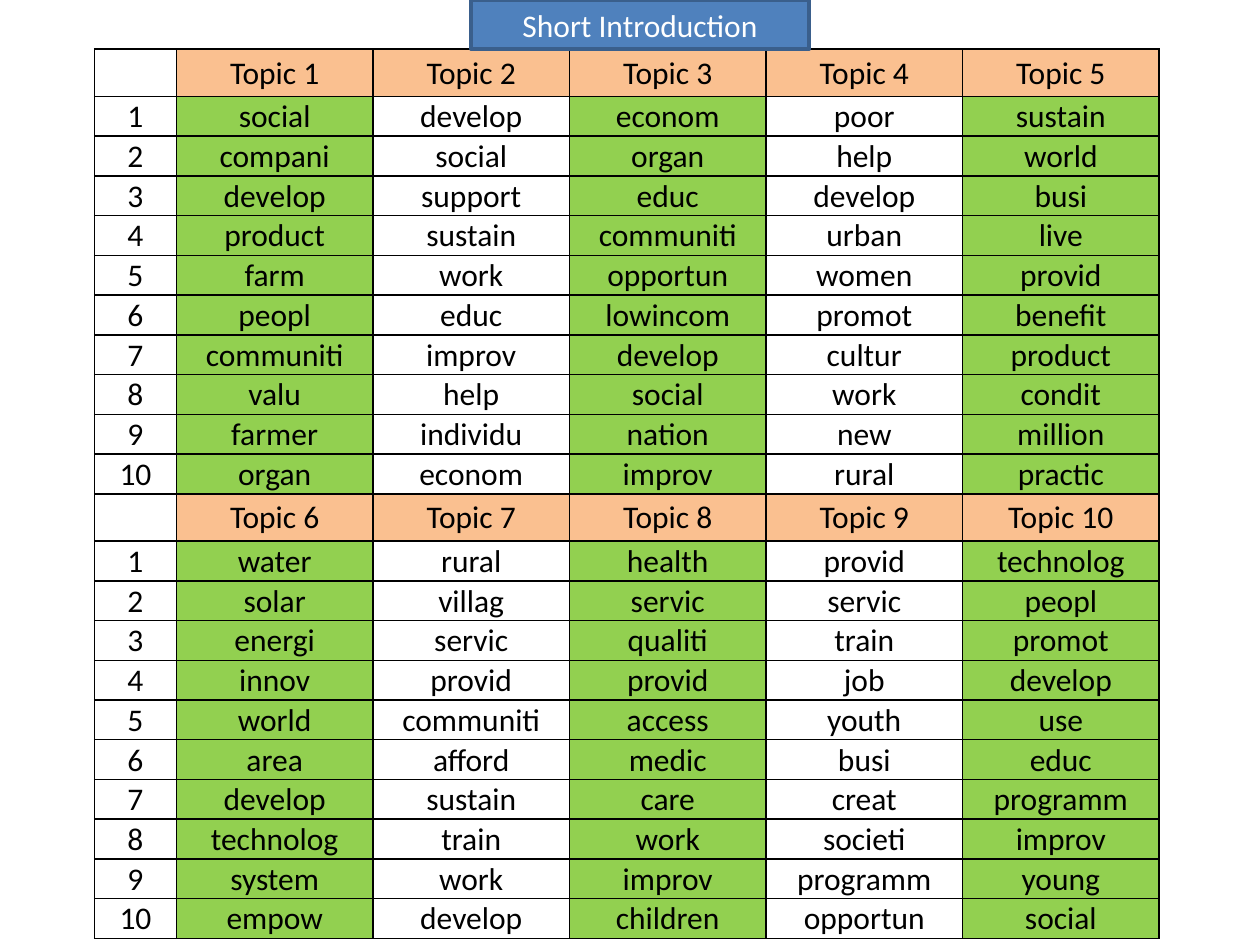
import pptx
import pptx.util
import pptx.dml.color
import pptx.enum.text
import lxml.etree
import pptx.oxml.ns

Inches = pptx.util.Inches
Pt = pptx.util.Pt
RGB = pptx.dml.color.RGBColor
MIDDLE = pptx.enum.text.MSO_ANCHOR.MIDDLE
CENTER = pptx.enum.text.PP_ALIGN.CENTER

PEACH = RGB(0xFA, 0xC0, 0x90)
GREEN = RGB(0x92, 0xD0, 0x50)
BLUE = RGB(0x4F, 0x81, 0xBD)
NAVY = RGB(0x3A, 0x5F, 0x8C)
BLACK = RGB(0, 0, 0)
WHITE = RGB(255, 255, 255)

TOPICS = [
    "social compani develop product farm peopl communiti valu farmer organ",
    "develop social support sustain work educ improv help individu econom",
    "econom organ educ communiti opportun lowincom develop social nation improv",
    "poor help develop urban women promot cultur work new rural",
    "sustain world busi live provid benefit product condit million practic",
    "water solar energi innov world area develop technolog system empow",
    "rural villag servic provid communiti afford sustain train work develop",
    "health servic qualiti provid access medic care work improv children",
    "provid servic train job youth busi creat societi programm opportun",
    "technolog peopl promot develop use educ programm improv young social",
]


def style(frame, color):
    para = frame.paragraphs[0]
    para.alignment = CENTER
    for run in para.runs:
        run.font.size = Pt(18)
        run.font.name = "Calibri"
        run.font.color.rgb = color


def border(cell):
    props = cell._tc.get_or_add_tcPr()
    for side in ("a:lnL", "a:lnR", "a:lnT", "a:lnB"):
        line = lxml.etree.SubElement(props, pptx.oxml.ns.qn(side), w=str(Pt(1)))
        fill = lxml.etree.SubElement(line, pptx.oxml.ns.qn("a:solidFill"))
        lxml.etree.SubElement(fill, pptx.oxml.ns.qn("a:srgbClr"), val=str(BLACK))


deck = pptx.Presentation()
deck.slide_width = Inches(10)
deck.slide_height = Inches(7.5)
slide = deck.slides.add_slide(deck.slide_layouts[5])

rows = []
for start in (0, 5):
    rows.append([""] + [f"Topic {start + i}" for i in range(1, 6)])
    words = [topic.split() for topic in TOPICS[start:start + 5]]
    for rank, line in enumerate(zip(*words), 1):
        rows.append([str(rank), *line])

frame = slide.shapes.add_table(
    len(rows), 6, Inches(0.75), Inches(0.39), Inches(8.43), Inches(6.83))
table = frame.table
table.first_row = False
table.horz_banding = False
for c, col in enumerate(table.columns):
    col.width = Inches(1.56 if c else 0.65)
for row in table.rows:
    row.height = Inches(0.28)
frame.height = Inches(6.83)

for r, texts in enumerate(rows):
    head = texts[0] == ""
    for c, text in enumerate(texts):
        cell = table.cell(r, c)
        border(cell)
        if head and c:
            cell.fill.solid()
            cell.fill.fore_color.rgb = PEACH
        elif c % 2:
            cell.fill.solid()
            cell.fill.fore_color.rgb = GREEN
        else:
            cell.fill.background()
        if text:
            cell.margin_left = cell.margin_right = cell.margin_top = Inches(0.01)
            cell.margin_bottom = 0
            cell.vertical_anchor = MIDDLE
            cell.text_frame.text = text
            style(cell.text_frame, BLACK)
        else:
            cell.margin_top = Inches(0.03)
            cell.margin_bottom = Inches(0.04)

title = slide.shapes.title
title.left, title.top = Inches(3.74), 0
title.width, title.height = Inches(2.68), Inches(0.39)
title.fill.solid()
title.fill.fore_color.rgb = BLUE
title.line.color.rgb = NAVY
title.line.width = Pt(2)
title.text_frame.text = "Short Introduction"
title.text_frame.word_wrap = True
title.text_frame.auto_size = pptx.enum.text.MSO_AUTO_SIZE.NONE
title.text_frame.vertical_anchor = MIDDLE
style(title.text_frame, WHITE)
frame._element.addnext(title._element)

deck.save("out.pptx")
